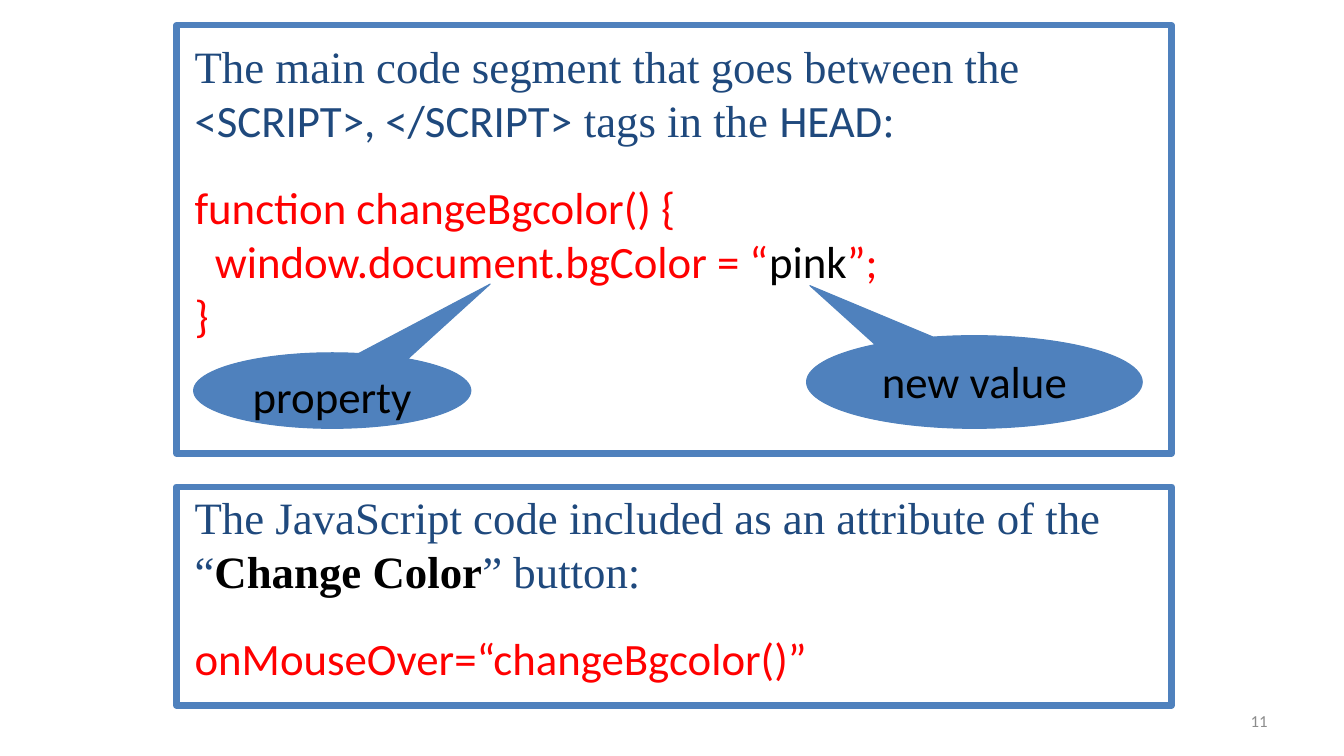
from dataclasses import dataclass

from pptx import Presentation
from pptx.dml.color import RGBColor
from pptx.enum.shapes import MSO_SHAPE as SHAPE
from pptx.enum.text import MSO_ANCHOR as ANCHOR, PP_ALIGN as ALIGN
from pptx.util import Inches, Pt


@dataclass(frozen=True)
class Theme:
    accent: RGBColor = RGBColor(0x4F, 0x81, 0xBD)
    heading: RGBColor = RGBColor(0x1F, 0x49, 0x7D)
    code: RGBColor = RGBColor(0xFF, 0, 0)
    ink: RGBColor = RGBColor(0, 0, 0)
    muted: RGBColor = RGBColor(0x8C, 0x8C, 0x8C)
    serif: str = "Times New Roman"
    sans: str = "Calibri"
    body: Pt = Pt(32)
    small: Pt = Pt(12)
    frame: Pt = Pt(4.5)
    outline: Pt = Pt(0.75)
    leading: Pt = Pt(38.6)
    code_gap: Pt = Pt(23.5)


T = Theme()


def style(r, font, color, size=T.body, bold=False):
    r.font.name = font
    r.font.size = size
    r.font.color.rgb = color
    r.font.bold = bold


def add_runs(p, runs):
    """Fill a paragraph with (text, font, colour, bold) runs."""
    p.alignment = ALIGN.LEFT
    p.line_spacing = T.leading
    for text, font, color, bold in runs:
        r = p.add_run()
        r.text = text
        style(r, font, color, bold=bold)


def add_panel(slide, box, top_inset, heading, code_lines):
    """Framed panel: a heading paragraph, then code lines below a gap."""
    sp = slide.shapes.add_shape(SHAPE.RECTANGLE, *map(Inches, box))
    sp.shadow.inherit = False
    sp.fill.background()
    sp.line.color.rgb = T.accent
    sp.line.width = T.frame
    tf = sp.text_frame
    tf.word_wrap = True
    tf.vertical_anchor = ANCHOR.TOP
    tf.margin_left = Inches(0.18)
    tf.margin_right = Inches(0.1)
    tf.margin_top = Inches(top_inset)
    tf.margin_bottom = 0
    add_runs(tf.paragraphs[0], heading)
    for i, runs in enumerate(code_lines):
        p = tf.add_paragraph()
        add_runs(p, runs)
        p.space_before = T.code_gap if i == 0 else Pt(0)


def add_callout(slide, box, text, pointer):
    """Oval callout whose pointer tip is offset from its centre, in box fractions."""
    sp = slide.shapes.add_shape(SHAPE.OVAL_CALLOUT, *map(Inches, box))
    sp.adjustments[0], sp.adjustments[1] = pointer
    sp.shadow.inherit = False
    sp.fill.solid()
    sp.fill.fore_color.rgb = T.accent
    sp.line.color.rgb = T.accent
    sp.line.width = T.outline
    tf = sp.text_frame
    tf.word_wrap = True
    tf.vertical_anchor = ANCHOR.TOP
    p = tf.paragraphs[0]
    p.text = text
    p.alignment = ALIGN.CENTER
    style(p.runs[0], T.sans, T.ink)


def add_page_number(slide, box, number):
    tf = slide.shapes.add_textbox(*map(Inches, box)).text_frame
    tf.word_wrap = True
    tf.vertical_anchor = ANCHOR.MIDDLE
    p = tf.paragraphs[0]
    p.text = str(number)
    p.alignment = ALIGN.RIGHT
    style(p.runs[0], T.sans, T.muted, T.small)


def prose(text):
    return text, T.serif, T.heading, False


def tag(text):
    return text, T.sans, T.heading, False


def code(text, color=T.code):
    return text, T.sans, color, False


def main():
    prs = Presentation()
    prs.slide_width, prs.slide_height = Inches(13.33), Inches(7.5)
    slide = prs.slides.add_slide(prs.slide_layouts[6])

    add_panel(
        slide, (1.75, 0.25, 9.87, 4.25), 0.13,
        [prose("The main code segment that goes between the "),
         tag("<SCRIPT>, </SCRIPT>"), prose(" tags in the "),
         tag("HEAD"), prose(":")],
        [[code("function changeBgcolor() {")],
         [code("  window.document.bgColor = “"), code("pink", T.ink), code("”;")],
         [code("}")]])
    add_panel(
        slide, (1.75, 4.83, 9.87, 2.17), 0.03,
        [prose("The JavaScript code included as an attribute of the “"),
         ("Change Color", T.serif, T.ink, True), prose("” button:")],
        [[code("onMouseOver=“changeBgcolor()”")]])

    add_callout(slide, (1.92, 3.5, 2.75, 0.75), "property", (0.57, -1.41))
    add_callout(slide, (8, 3.33, 3.33, 0.92), "new value", (-0.49, -1.04))
    add_page_number(slide, (9.56, 6.95, 3.11, 0.4), 11)
    prs.save("out.pptx")


if __name__ == "__main__":
    main()
